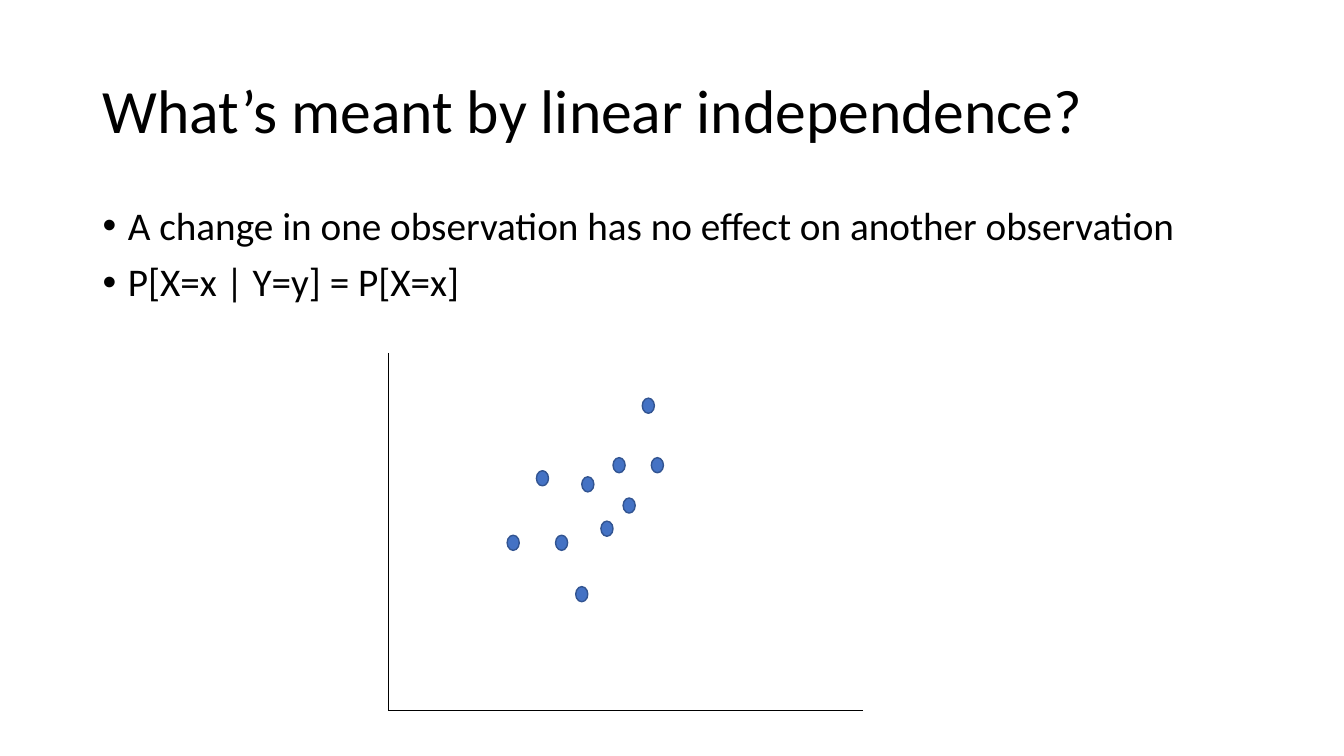
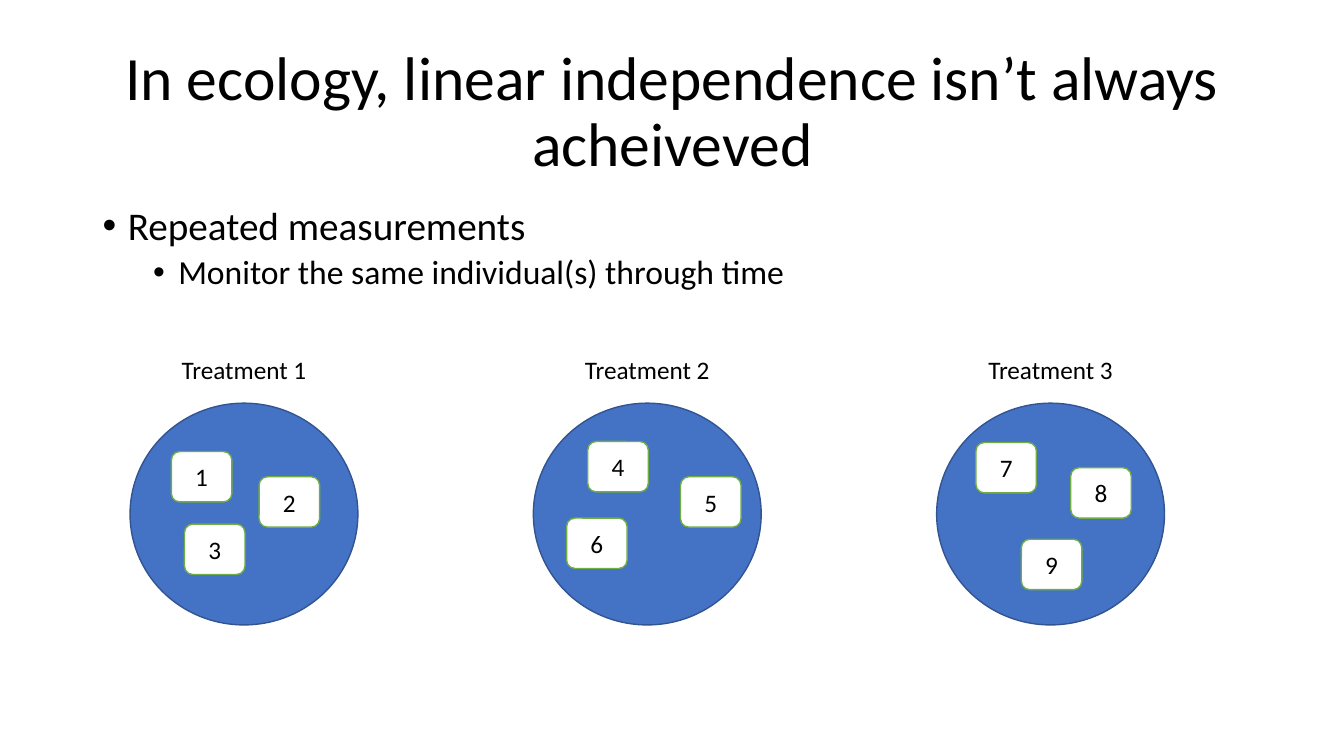
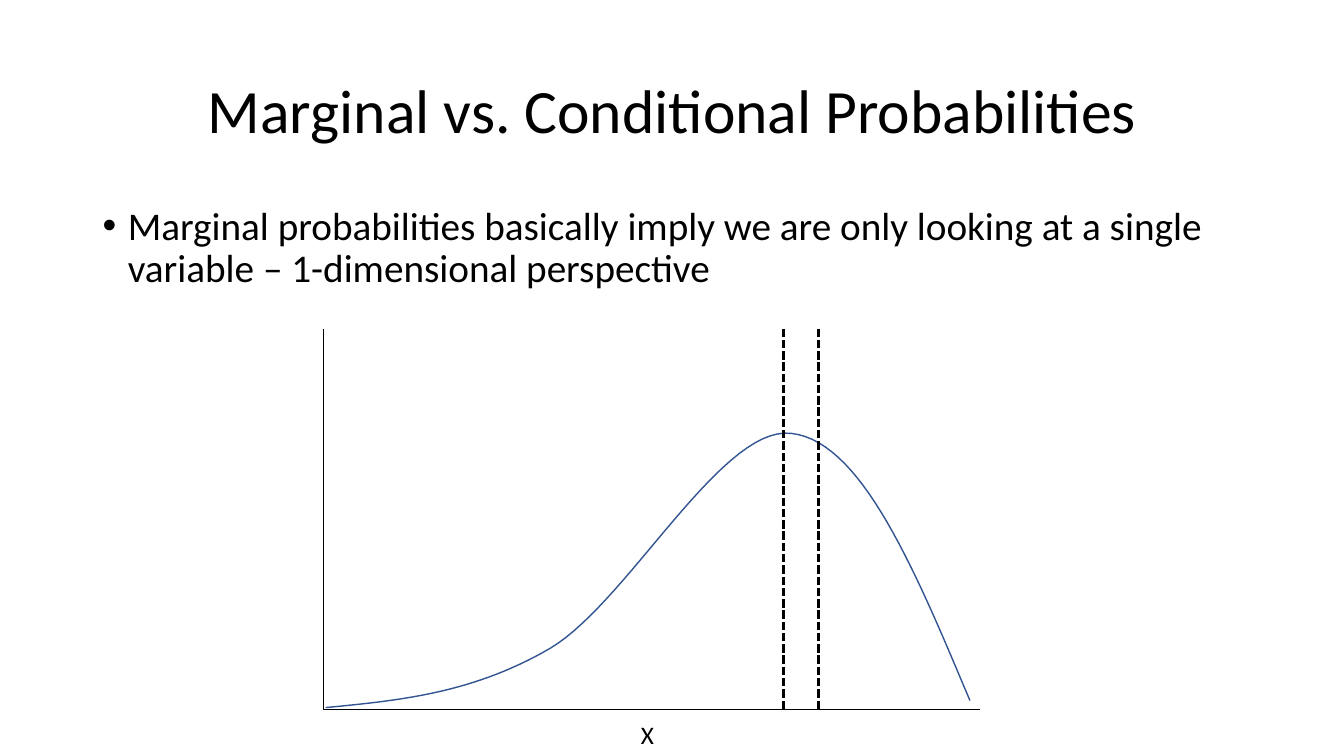
"""Build three slides on linear independence and marginal probability."""
import lxml.etree
import pptx
import pptx.dml.color
import pptx.enum.dml
import pptx.enum.shapes
import pptx.enum.text
import pptx.oxml.ns
import pptx.util

Inches = pptx.util.Inches
Pt = pptx.util.Pt
KIND = pptx.enum.shapes.MSO_SHAPE
ALIGN = pptx.enum.text.PP_ALIGN
qn = pptx.oxml.ns.qn

FONT = "Calibri"
HEX = {"ink": "000000", "paper": "FFFFFF", "blue": "4472C4",
       "navy": "325491", "green": "70AD47"}
LEFT, WIDTH = 0.92, 11.5
LEVELS = [{"size": 28, "before": 10, "indent": 0.25},
          {"size": 24, "before": 5, "indent": 0.75}]

SLIDES = [
    {"title": "What’s meant by linear independence?", "align": ALIGN.LEFT,
     "height": 1.35,
     "body": [(0, "A change in one observation has no effect on another observation"),
              (0, "P[X=x | Y=y] = P[X=x]")]},
    {"title": "In ecology, linear independence isn’t always acheiveved",
     "align": ALIGN.CENTER, "height": 4.76,
     "body": [(0, "Repeated measurements"),
              (1, "Monitor the same individual(s) through time")]},
    {"title": "Marginal vs. Conditional Probabilities",
     "align": ALIGN.CENTER, "height": 4.76,
     "body": [(0, "Marginal probabilities basically imply we are only looking "
                  "at a single variable – 1-dimensional perspective")]},
]

DOTS = [(5.32, 4.67), (5.03, 5.31), (5.51, 5.31), (5.77, 4.73), (6.08, 4.54),
        (5.96, 5.17), (5.71, 5.82), (6.46, 4.54), (6.18, 4.94), (6.37, 3.95)]

GROUPS = [
    ("Treatment 1", [("1", 1.7, 4.48), ("2", 2.57, 4.73), ("3", 1.83, 5.2)]),
    ("Treatment 2", [("4", 5.83, 4.38), ("5", 6.75, 4.73), ("6", 5.62, 5.14)]),
    ("Treatment 3", [("7", 9.68, 4.39), ("8", 10.62, 4.64), ("9", 10.13, 5.35)]),
]

CURVE = [(3.23, 7.02), (3.96, 6.95), (4.69, 6.88), (5.46, 6.43),
         (6.23, 5.97), (7.16, 4.21), (7.85, 4.3),
         (8.55, 4.38), (9.08, 5.67), (9.62, 6.95)]
STEPS = 30
BOUNDS = [7.77, 8.12]


def rgb(name):
    return pptx.dml.color.RGBColor.from_string(HEX[name])


def place(shape, *box):
    shape.left, shape.top, shape.width, shape.height = map(Inches, box)


def style(para, size, align):
    para.alignment = align
    para.font.name, para.font.size = FONT, Pt(size)
    para.font.color.rgb = rgb("ink")


def outline(shape, ink, width=1):
    shape.line.color.rgb = rgb(ink)
    shape.line.width = Pt(width)


def add_shape(slide, kind, box, fill, ink):
    shape = slide.shapes.add_shape(kind, *map(Inches, box))
    shape.shadow.inherit = False
    shape.fill.solid()
    shape.fill.fore_color.rgb = rgb(fill)
    outline(shape, ink)
    return shape


def add_label(slide, text, *box):
    frame = slide.shapes.add_textbox(*map(Inches, box)).text_frame
    frame.word_wrap = True
    frame.text = text
    style(frame.paragraphs[0], 18, ALIGN.CENTER)


def add_line(slide, start, end, width=0.5, dash=None):
    line = slide.shapes.add_connector(
        pptx.enum.shapes.MSO_CONNECTOR.STRAIGHT, *map(Inches, start + end))
    outline(line, "ink", width)
    if dash:
        line.line.dash_style = dash
    lxml.etree.SubElement(line._element.spPr, qn("a:effectLst"))


def add_axes(slide, left, top, right, base):
    add_line(slide, (left, top), (left, base))
    add_line(slide, (right, base), (left, base))


def add_body(slide, items, height):
    box = slide.shapes.add_textbox(*map(Inches, (LEFT, 2, WIDTH, height)))
    frame = box.text_frame
    frame.word_wrap = True
    for i, (level, text) in enumerate(items):
        para = frame.add_paragraph() if i else frame.paragraphs[0]
        rule = LEVELS[level]
        para.text, para.level = text, level
        para.line_spacing, para.space_before = 0.9, Pt(rule["before"])
        props = para._p.get_or_add_pPr()
        props.set("marL", str(Inches(rule["indent"])))
        props.set("indent", str(Inches(-0.25)))
        lxml.etree.SubElement(props, qn("a:buFont"), typeface="Arial")
        lxml.etree.SubElement(props, qn("a:buChar"), char="•")
        style(para, rule["size"], ALIGN.LEFT)


def add_slide(deck, spec):
    slide = deck.slides.add_slide(deck.slide_layouts[5])
    title = slide.shapes.title
    place(title, LEFT, 0.4, WIDTH, 1.45)
    title.text_frame.text = spec["title"]
    title.text_frame.vertical_anchor = pptx.enum.text.MSO_ANCHOR.MIDDLE
    para = title.text_frame.paragraphs[0]
    para.line_spacing = 0.9
    style(para, 44, spec["align"])
    add_body(slide, spec["body"], spec["height"])
    return slide


def draw_scatter(slide):
    add_axes(slide, 3.85, 3.5, 8.56, 7.05)
    for left, top in DOTS:
        add_shape(slide, KIND.OVAL, (left, top, 0.12, 0.15), "blue", "navy")


def draw_groups(slide):
    for i, (name, units) in enumerate(GROUPS):
        left = 1.29 + 4 * i
        add_shape(slide, KIND.OVAL, (left, 4, 2.26, 2.2), "blue", "navy")
        add_label(slide, name, left + 0.29, 3.47, 1.68, 0.4)
        for text, x, y in units:
            unit = add_shape(slide, KIND.ROUNDED_RECTANGLE,
                             (x, y, 0.6, 0.5), "paper", "green")
            unit.text_frame.text = text
            style(unit.text_frame.paragraphs[0], 18, ALIGN.CENTER)


def bezier(knots, t):
    s = 1 - t
    parts = (s ** 3, 3 * s * s * t, 3 * s * t * t, t ** 3)
    return tuple(Inches(sum(w * v for w, v in zip(parts, axis)))
                 for axis in zip(*knots))


def draw_density(slide):
    add_axes(slide, 3.21, 3.26, 9.72, 7.04)
    points = [bezier(CURVE[k:k + 4], n / STEPS)
              for k in range(0, len(CURVE) - 1, 3) for n in range(1, STEPS + 1)]
    pen = slide.shapes.build_freeform(*map(Inches, CURVE[0]))
    pen.add_line_segments(points, close=False)
    curve = pen.convert_to_shape()
    curve.shadow.inherit = False
    curve.fill.background()
    outline(curve, "navy")
    add_label(slide, "X", 4.43, 7.09, 3.98, 0.4)
    for x in BOUNDS:
        add_line(slide, (x, 3.26), (x, 7.03), 2,
                 pptx.enum.dml.MSO_LINE.SQUARE_DOT)


def main():
    deck = pptx.Presentation()
    deck.slide_width, deck.slide_height = Inches(13.33), Inches(7.5)
    for data, draw in zip(SLIDES, (draw_scatter, draw_groups, draw_density)):
        draw(add_slide(deck, data))
    deck.save("out.pptx")


if __name__ == "__main__":
    main()
